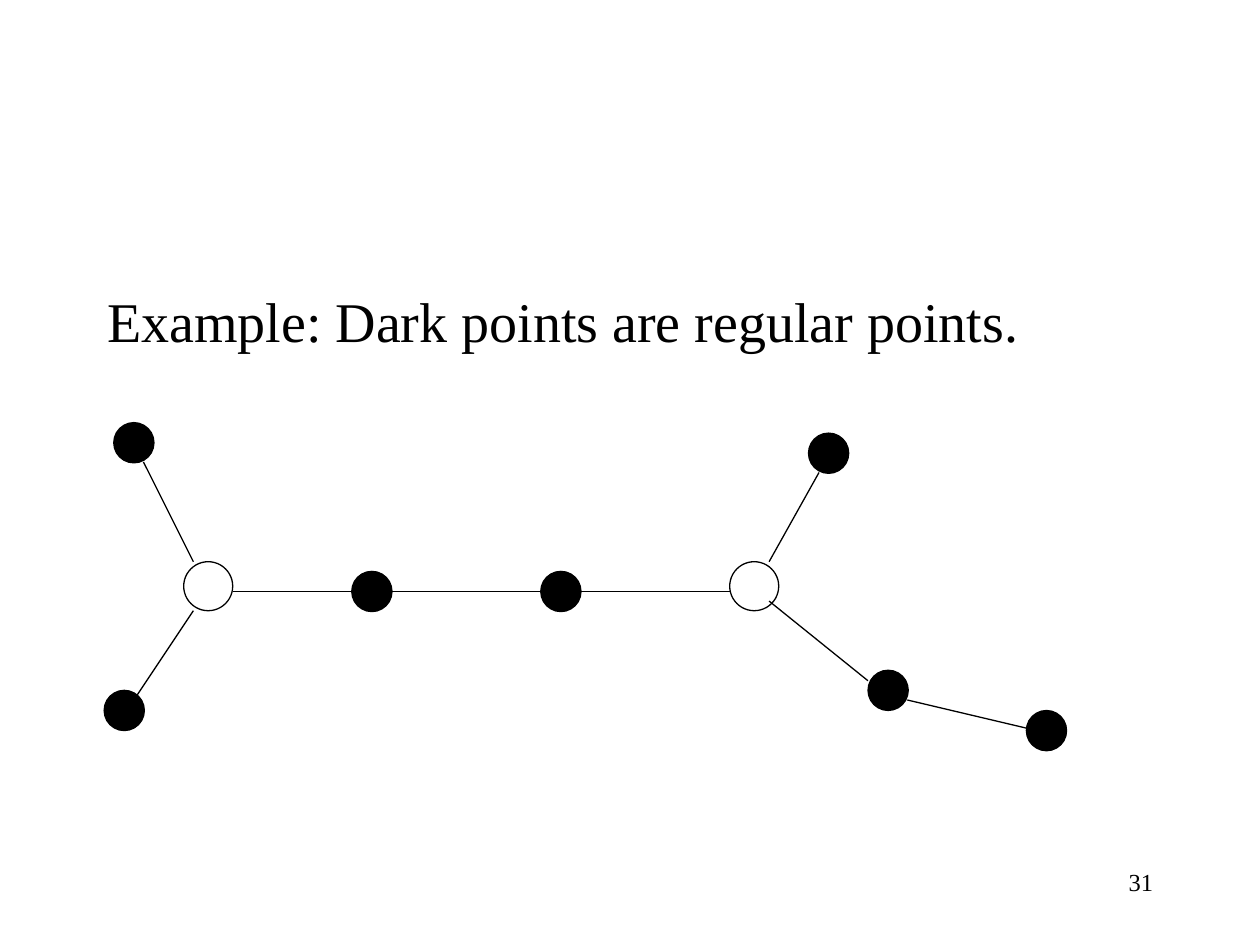
from lxml.etree import SubElement
from pptx import Presentation
from pptx.dml.color import RGBColor
from pptx.enum.shapes import MSO_CONNECTOR, MSO_SHAPE
from pptx.enum.text import MSO_ANCHOR, PP_ALIGN
from pptx.oxml.ns import qn
from pptx.util import Pt

COLORS = {"ink": "000000"}
INK = RGBColor.from_string(COLORS["ink"])

deck = Presentation()
deck.slide_width, deck.slide_height = Pt(720), Pt(540)
slide = deck.slides.add_slide(deck.slide_layouts[1])
shapes = slide.shapes
title = shapes.title.element
title.getparent().remove(title)


def write(box, text, size, align, top):
    """Put one line of text in a box, with the given top inset."""
    frame = box.text_frame
    layout = {"word_wrap": True, "vertical_anchor": MSO_ANCHOR.TOP,
              "margin_left": Pt(7.2), "margin_right": Pt(7.2),
              "margin_top": Pt(top), "margin_bottom": Pt(3.6)}
    for name, value in layout.items():
        setattr(frame, name, value)
    line = frame.paragraphs[0]
    line.text = text
    line.alignment = align
    line.space_before = Pt(0)
    props = line._p.get_or_add_pPr()
    props.set("marL", "0")
    props.set("indent", "0")
    SubElement(props, qn("a:buNone"))
    for name, value in {"name": "Times New Roman", "size": Pt(size)}.items():
        setattr(line.font, name, value)
    line.font.color.rgb = INK


def outline(shape):
    shape.line.color.rgb = INK
    shape.line.width = Pt(0.75)


# Slide number and caption
number = shapes.add_textbox(Pt(516), Pt(492), Pt(150), Pt(36))
write(number, "31", 14, PP_ALIGN.RIGHT, 3.6)

body = slide.placeholders[1]
place = {"left": 54, "top": 156, "width": 612, "height": 324}
for name, value in place.items():
    setattr(body, name, Pt(value))
write(body, "Example: Dark points are regular points.", 32, PP_ALIGN.LEFT, 8)

# Points of the graph, by centre
regular = [(76.5, 253), (71, 406), (212.5, 338), (320.5, 338),
           (598, 417.5), (507.5, 394.5), (473.5, 259)]
branch = [(119, 335), (431, 335)]
for centers, size, dark in ((regular, 23, True), (branch, 28, False)):
    for x, y in centers:
        dot = shapes.add_shape(MSO_SHAPE.OVAL, Pt(x - size / 2),
                               Pt(y - size / 2), Pt(size), Pt(size))
        dot.shadow.inherit = False
        if dark:
            dot.fill.solid()
            dot.fill.fore_color.rgb = INK
        else:
            dot.fill.background()
        outline(dot)

# Edges of the graph
edges = [(82, 264, 110.5, 321), (76.5, 400, 110.5, 349),
         (133, 338, 201.5, 338), (224, 338, 309, 338), (332, 338, 417, 338),
         (439.5, 321, 468, 270), (439.5, 343.5, 496, 389),
         (518.5, 400, 592.5, 417.5)]
for ends in edges:
    edge = shapes.add_connector(MSO_CONNECTOR.STRAIGHT, *map(Pt, ends))
    outline(edge)
    SubElement(edge.element.spPr, qn("a:effectLst"))

deck.save("out.pptx")
